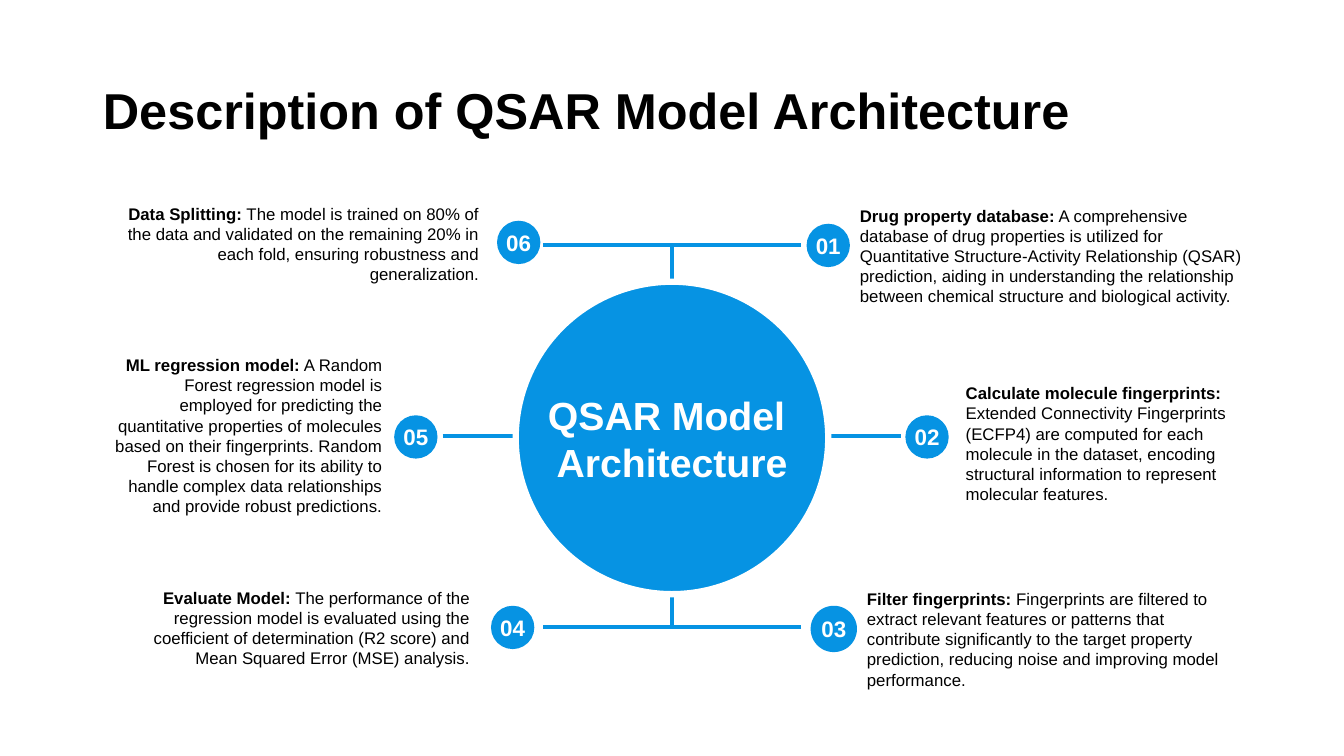
from lxml import etree
from pptx import Presentation
from pptx.dml.color import RGBColor
from pptx.enum.shapes import MSO_CONNECTOR, MSO_SHAPE
from pptx.enum.text import MSO_ANCHOR, MSO_AUTO_SIZE, PP_ALIGN
from pptx.oxml.ns import qn
from pptx.util import Inches, Pt

BRACKET = MSO_SHAPE.RIGHT_BRACKET
OVAL = MSO_SHAPE.OVAL
STRAIGHT = MSO_CONNECTOR.STRAIGHT
MIDDLE = MSO_ANCHOR.MIDDLE
NO_FIT = MSO_AUTO_SIZE.NONE
GROW = MSO_AUTO_SIZE.SHAPE_TO_FIT_TEXT
LEFT, CENTER, RIGHT = PP_ALIGN.LEFT, PP_ALIGN.CENTER, PP_ALIGN.RIGHT

COLORS = {"blue": "0693E3", "white": "FFFFFF", "black": "000000"}
FONT = "Arial"

STEPS = [
    ("01", (8, 2.22, 0.43), (8.43, 1.99, 3.99, 1.11), LEFT,
     "Drug property database:",
     " A comprehensive database of drug properties is utilized for "
     "Quantitative Structure-Activity Relationship (QSAR) prediction, aiding in "
     "understanding the relationship between chemical structure and biological activity."),
    ("02", (8.98, 4.12, 0.43), (9.48, 3.75, 2.94, 1.31), LEFT,
     "Calculate molecule fingerprints:",
     " Extended Connectivity Fingerprints (ECFP4) are computed for each molecule in "
     "the dataset, encoding structural information to represent molecular features."),
    ("03", (8.04, 6.01, 0.46), (8.5, 5.79, 3.87, 1.11), LEFT,
     "Filter fingerprints:",
     " Fingerprints are filtered to extract relevant features or patterns that "
     "contribute significantly to the target property prediction, reducing noise "
     "and improving model performance."),
    ("04", (4.87, 6.01, 0.43), (1.16, 5.78, 3.6, 0.91), RIGHT,
     "Evaluate Model:",
     " The performance of the regression model is evaluated using the coefficient of "
     "determination (R2 score) and Mean Squared Error (MSE) analysis."),
    ("05", (3.91, 4.12, 0.43), (1.04, 3.47, 2.85, 1.72), RIGHT,
     "ML regression model:",
     " A Random Forest regression model is employed for predicting the quantitative "
     "properties of molecules based on their fingerprints. Random Forest is chosen for "
     "its ability to handle complex data relationships and provide robust predictions."),
    ("06", (4.93, 2.19, 0.43), (1.04, 1.97, 3.81, 0.91), RIGHT,
     "Data Splitting:",
     " The model is trained on 80% of the data and validated on the remaining 20% "
     "in each fold, ensuring robustness and generalization."),
]


def color(name):
    return RGBColor.from_string(COLORS[name])


def style(run, size, ink, bold=True):
    font = run.font
    font.name, font.size, font.bold = FONT, Pt(size), bold
    font.color.rgb = color(ink)


def stroke(line, ink, width):
    line.color.rgb = color(ink)
    line.width = Pt(width)


def add_disc(slide, box, text, size):
    disc = slide.shapes.add_shape(OVAL, *map(Inches, box))
    disc.shadow.inherit = False
    disc.fill.solid()
    disc.fill.fore_color.rgb = color("blue")
    disc.line.fill.background()
    frame = disc.text_frame
    frame.word_wrap = False
    frame.vertical_anchor = MIDDLE
    frame.text = text
    for para in frame.paragraphs:
        para.alignment = CENTER
        style(para.runs[0], size, "white")
    return disc


def add_title(slide, box):
    title = slide.shapes.title
    title.left, title.top, title.width, title.height = map(Inches, box)
    frame = title.text_frame
    frame.text = "Description of QSAR Model Architecture"
    frame.auto_size = NO_FIT
    frame.vertical_anchor = MIDDLE
    para = frame.paragraphs[0]
    para.alignment = LEFT
    para.line_spacing = 0.9
    style(para.runs[0], 36, "black")


def add_hub(slide, box):
    left, top, width, height = box
    mid_x, mid_y = left + width / 2, top + height / 2
    arm, tall, reach, size = 1.28, 3.79, 2.275, 3.1

    for side, turn in ((mid_x - arm, 0), (mid_x, 180)):
        part = slide.shapes.add_shape(
            BRACKET, Inches(side), Inches(mid_y - tall / 2), Inches(arm), Inches(tall))
        part.adjustments[0] = 0
        part.rotation = turn
        part.shadow.inherit = False
        part.fill.background()
        stroke(part.line, "blue", 2.25)

    axis = slide.shapes.add_connector(
        STRAIGHT, Inches(mid_x - reach), Inches(mid_y),
        Inches(mid_x + reach), Inches(mid_y))
    stroke(axis.line, "blue", 2.25)
    etree.SubElement(axis._element.spPr, qn("a:effectLst"))

    disc = add_disc(slide, (mid_x - size / 2, mid_y + 0.02 - size / 2, size, size),
                    "QSAR Model \nArchitecture", 28)
    stroke(disc.line, "white", 4.5)


def add_note(slide, box, align, head, body):
    note = slide.shapes.add_textbox(*map(Inches, box))
    frame = note.text_frame
    frame.word_wrap = True
    frame.auto_size = GROW
    para = frame.paragraphs[0]
    para.alignment = align
    for text, bold in ((head, True), (body, False)):
        run = para.add_run()
        run.text = text
        style(run, 12, "black", bold)


def main():
    deck = Presentation()
    deck.slide_width, deck.slide_height = Inches(13.33), Inches(7.5)
    slide = deck.slides.add_slide(deck.slide_layouts[5])
    add_title(slide, (0.92, 0.4, 11.5, 1.45))
    add_hub(slide, (4.39, 2.43, 4.55, 3.79))
    for mark, (left, top, size), box, align, head, body in STEPS:
        add_disc(slide, (left, top, size, size), mark, 16)
        add_note(slide, box, align, head, body)
    deck.save("out.pptx")


if __name__ == "__main__":
    main()
